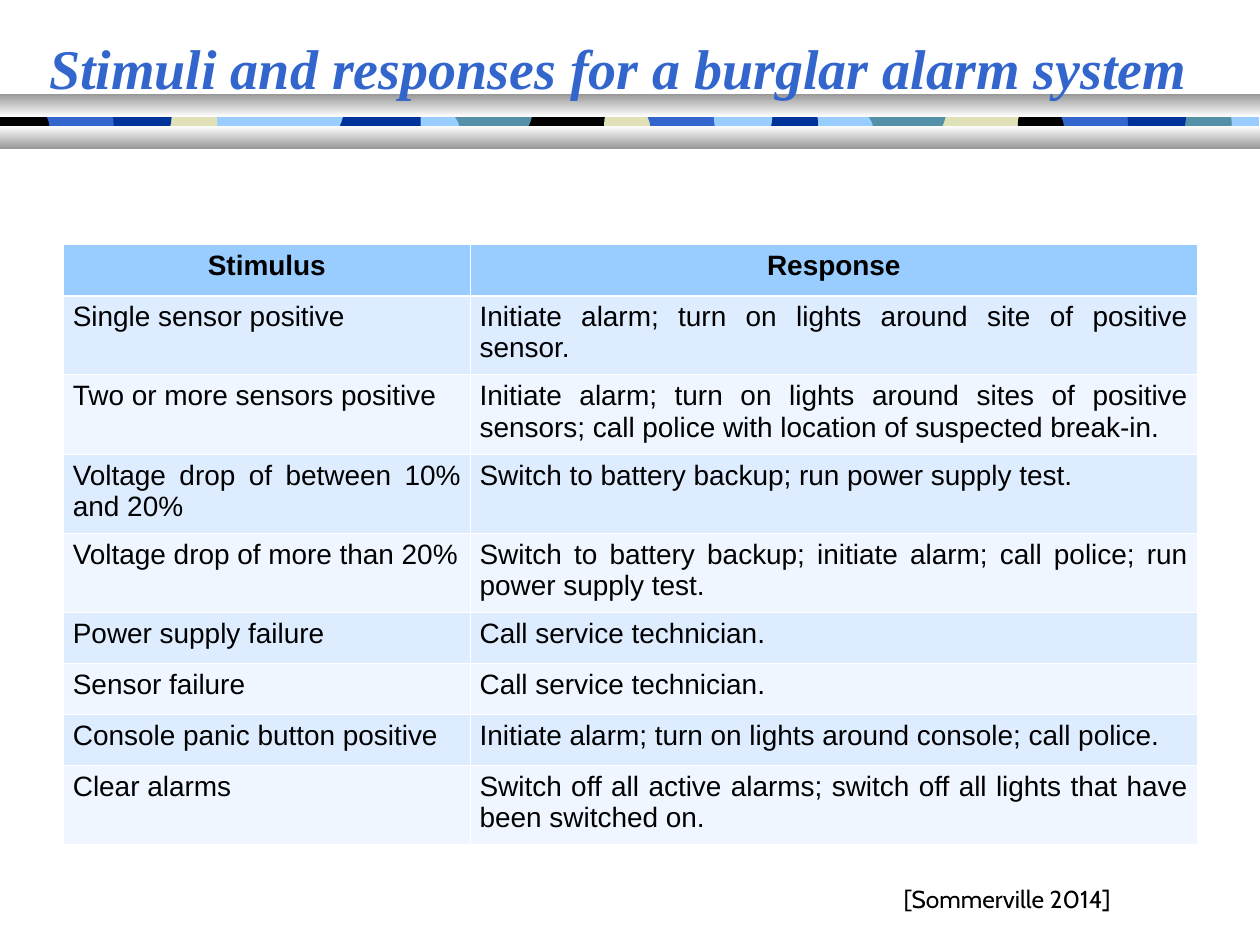
from lxml.etree import SubElement
from pptx import Presentation
from pptx.dml.color import RGBColor
from pptx.enum.shapes import MSO_SHAPE
from pptx.enum.text import MSO_ANCHOR, PP_ALIGN
from pptx.oxml.ns import qn
from pptx.util import Cm, Pt

WHITE, GREY, BLACK = "FFFFFF", "999999", "000000"
SKY, BLUE, NAVY, TEAL, SAND = "99CCFF", "3366CC", "003399", "5490A8", "E1E1B7"
ROW_FILLS = ["DEECFF", "EFF6FF"]
RIBBON_TOP, RIBBON_BOTTOM = 2.16, 2.87

EDGES = {
    "straight": [(0, 2.77), (0, 2.29)],
    "wave": [(0.28, 2.39), (-0.28, 2.29)],
    "bulge": [(-0.28, 2.77), (0.18, 2.39)],
    "bow left": [(-0.15, 2.77), (-0.15, 2.29)],
    "bow right": [(0.2, 2.67), (0.23, 2.29)],
    "notch": [(0, 2.74), (-0.18, 2.62)],
    "hook": [(0.28, 2.74), (0.23, 2.41)],
    "lean left": [(0, 2.67), (-0.13, 2.29)],
    "lean right": [(0, 2.67), (0.18, 2.26)],
}
MOTIF = [
    (0, 1.58, "wave", "straight"),
    (1.5, 3.1, "bulge", "straight"),
    (6.32, 7.14, "bow left", "bow right"),
    (3.1, 4.22, "bow left", "notch"),
    (3.73, 5.33, "hook", "straight"),
    (5.26, 6.3, "lean left", "lean right"),
]
MOTIF_COLOURS = [
    (17.53, [TEAL, SAND, TEAL, BLACK, BLUE, NAVY]),
    (9.19, [TEAL, BLACK, NAVY, SAND, BLUE, SKY]),
    (5.38, [SKY, NAVY, None, None, None, None]),
    (-2.92, [None, None, SAND, None, BLUE, NAVY]),
]
ROWS = [
    ("Stimulus", "Response"),
    ("Single sensor positive", "Initiate alarm; turn on lights around site of positive sensor."),
    ("Two or more sensors positive",
     "Initiate alarm; turn on lights around sites of positive sensors; "
     "call police with location of suspected break-in."),
    ("Voltage drop of between 10% and 20%", "Switch to battery backup; run power supply test."),
    ("Voltage drop of more than 20%",
     "Switch to battery backup; initiate alarm; call police; run power supply test."),
    ("Power supply failure", "Call service technician."),
    ("Sensor failure", "Call service technician."),
    ("Console panic button positive", "Initiate alarm; turn on lights around console; call police."),
    ("Clear alarms",
     "Switch off all active alarms; switch off all lights that have been switched on."),
]
ROW_HEIGHTS = [1.03, 1.35, 1.35, 1.35, 1.35, 1.03, 1.03, 1.03, 1.35]


def colour(value):
    """Turn a hex string into a colour."""
    return RGBColor.from_string(value)


def add_text(paragraph, text, size=16, font="Arial", ink=BLACK, bold=False, italic=False,
             align=PP_ALIGN.CENTER):
    """Add a formatted run to a paragraph."""
    paragraph.alignment = align
    run = paragraph.add_run()
    run.text = text
    run.font.size, run.font.name = Pt(size), font
    run.font.bold, run.font.italic = bold, italic
    run.font.color.rgb = colour(ink)


def edge_points(x, edge, steps=8):
    """Return the points of a curved edge from bottom to top."""
    (x1, y1), (x2, y2) = EDGES[edge]
    points = []
    for step in range(steps + 1):
        t = step / steps
        u = 1 - t
        points.append((Cm(x + 3 * u * u * t * x1 + 3 * u * t * t * x2),
                       Cm(u ** 3 * RIBBON_BOTTOM + 3 * u * u * t * y1
                          + 3 * u * t * t * y2 + t ** 3 * RIBBON_TOP)))
    return points


def set_border(cell, side, width):
    """Draw a white border on one side of a cell."""
    line = SubElement(cell._tc.get_or_add_tcPr(), qn(f"a:ln{side}"), w=str(Pt(width)))
    SubElement(SubElement(line, qn("a:solidFill")), qn("a:srgbClr"), val=WHITE)


class SlideBuilder:
    """Hold the current slide and draw its elements in one style."""

    def __init__(self, slide):
        """Keep the slide to draw on."""
        self.slide = slide

    def finish(self, shape):
        """Remove the outline and shadow of a shape."""
        shape.line.fill.background()
        shape.shadow.inherit = False

    def rectangle(self, left, top, width, height, *fills):
        """Add a plain rectangle, or a vertical gradient for two fills."""
        shape = self.slide.shapes.add_shape(
            MSO_SHAPE.RECTANGLE, Cm(left), Cm(top), Cm(width), Cm(height))
        if len(fills) == 1:
            shape.fill.solid()
            shape.fill.fore_color.rgb = colour(fills[0])
        else:
            shape.fill.gradient()
            shape.fill.gradient_angle = 270
            for stop, position, fill in zip(shape.fill.gradient_stops, (0, 1), fills):
                stop.position, stop.color.rgb = position, colour(fill)
        self.finish(shape)

    def patch(self, left, right, left_edge, right_edge, fill):
        """Add a ribbon patch between two curved edges."""
        points = edge_points(left, left_edge) + edge_points(right, right_edge)[::-1]
        builder = self.slide.shapes.build_freeform(*points[0], scale=1.0)
        builder.add_line_segments(points[1:], close=True)
        shape = builder.convert_to_shape()
        shape.fill.solid()
        shape.fill.fore_color.rgb = colour(fill)
        self.finish(shape)

    def text_box(self, left, top, width, height, anchor):
        """Add a wrapped text box and return its frame."""
        frame = self.slide.shapes.add_textbox(Cm(left), Cm(top), Cm(width), Cm(height)).text_frame
        frame.word_wrap = True
        frame.vertical_anchor = anchor
        return frame

    def table(self, left, top, widths, heights, rows):
        """Add a table with a header row and alternating row fills."""
        table = self.slide.shapes.add_table(
            len(rows), len(widths), Cm(left), Cm(top), Cm(sum(widths)), Cm(sum(heights))).table
        for column, width in zip(table.columns, widths):
            column.width = Cm(width)
        for index, (row, height, texts) in enumerate(zip(table.rows, heights, rows)):
            row.height = Cm(height)
            header = index == 0
            for cell, text in zip(row.cells, texts):
                cell.margin_left = cell.margin_right = Cm(0.19)
                cell.margin_top = cell.margin_bottom = Cm(0.12)
                for side in "LRTB":
                    heavy = (side, index) in (("B", 0), ("T", 1))
                    set_border(cell, side, 1.47 if heavy else 0.45)
                cell.fill.solid()
                cell.fill.fore_color.rgb = colour(SKY if header else ROW_FILLS[(index - 1) % 2])
                paragraph = cell.text_frame.paragraphs[0]
                paragraph.space_after = Pt(3)
                add_text(paragraph, text, bold=header,
                         align=PP_ALIGN.CENTER if header else PP_ALIGN.JUSTIFY)


def main():
    """Build and save the presentation."""
    presentation = Presentation()
    presentation.slide_width, presentation.slide_height = Cm(25.4), Cm(19.05)
    builder = SlideBuilder(presentation.slides.add_slide(presentation.slide_layouts[6]))

    builder.rectangle(0.06, 2.18, 25.32, 0.71, SKY)
    builder.patch(0, 1.3, "straight", "notch", BLACK)
    for start, fills in MOTIF_COLOURS:
        for (left, right, left_edge, right_edge), fill in zip(MOTIF, fills):
            if fill:
                builder.patch(start + left, start + right, left_edge, right_edge, fill)
    builder.rectangle(0, 1.9, 25.4, 0.46, GREY, WHITE)
    builder.rectangle(0, 2.54, 25.4, 0.46, WHITE, GREY)

    title = builder.text_box(0, 0, 25.32, 2.11, MSO_ANCHOR.MIDDLE)
    title.margin_top, title.margin_bottom = Cm(0.25), Cm(0)
    for text, size in (("Stimuli and responses for a burglar alarm system", 32), (" ", 44)):
        add_text(title.paragraphs[0], text, size, "Times New Roman", BLUE, bold=True, italic=True)

    builder.table(1.28, 4.93, [8.2, 14.66], ROW_HEIGHTS, ROWS)
    source = builder.text_box(16.28, 17.27, 8.05, 1.27, MSO_ANCHOR.BOTTOM)
    add_text(source.paragraphs[0], "[Sommerville 2014]", 14, "Cabin")

    presentation.save("out.pptx")


if __name__ == "__main__":
    main()
